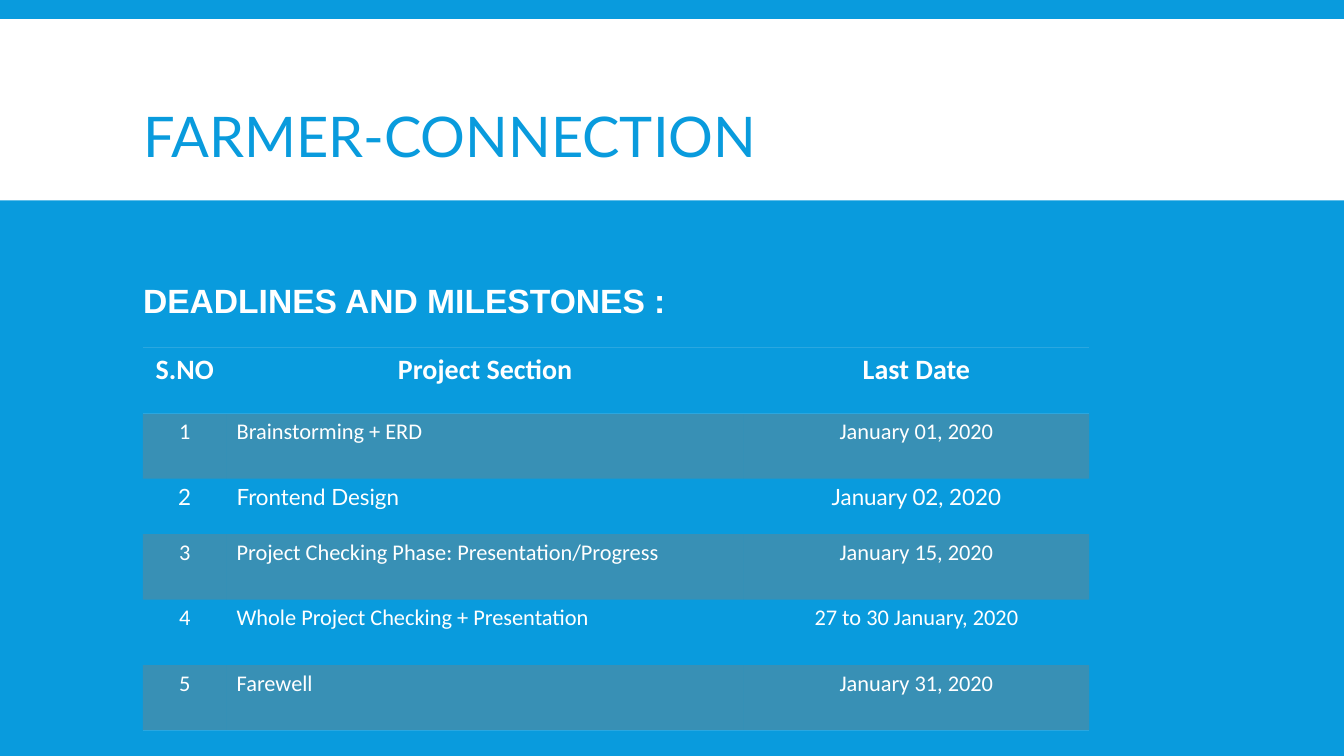
from lxml import etree
from pptx import Presentation
from pptx.dml.color import RGBColor
from pptx.enum.shapes import MSO_SHAPE
from pptx.enum.text import MSO_ANCHOR, PP_ALIGN
from pptx.oxml import parse_xml
from pptx.oxml.ns import qn
from pptx.util import Cm, Pt

COLORS = {"blue": "099BDD", "white": "FFFFFF", "band": "F56617", "rule": "2AA7E0"}
NO_STYLE = "{2D5ABB26-0587-4C30-8999-92F81FD0307C}"
NS = "http://schemas.openxmlformats.org/drawingml/2006/main"


def style(p, font, size, color, bold=False):
    for r in p.runs:
        r.font.name = font
        r.font.size = Pt(size)
        r.font.bold = bold
        r.font.color.rgb = RGBColor.from_string(COLORS[color])


def add_border(cell, side):
    tcPr = cell._tc.get_or_add_tcPr()
    ln = parse_xml(
        f'<a:{side} xmlns:a="{NS}" w="6350"><a:solidFill>'
        f'<a:srgbClr val="{COLORS["rule"]}"/></a:solidFill></a:{side}>')
    tcPr.insert(len(tcPr.findall(qn("a:lnT"))), ln)


prs = Presentation()
prs.slide_width, prs.slide_height = Cm(33.87), Cm(19.05)
s = prs.slides.add_slide(prs.slide_layouts[1])
s.background.fill.solid()
s.background.fill.fore_color.rgb = RGBColor.from_string(COLORS["blue"])

# White title band, behind the text
band = s.shapes.add_shape(MSO_SHAPE.RECTANGLE, 0, Cm(0.48), prs.slide_width, Cm(4.57))
band.shadow.inherit = False
band.fill.solid()
band.fill.fore_color.rgb = RGBColor.from_string(COLORS["white"])
band.line.fill.background()
s.shapes._spTree.insert(2, band._element)

# Title and subheading
headings = [
    (s.shapes.title, "FARMER\u2010CONNECTION", 2.21, 2.4, "Lato", 40, "blue", False),
    (s.placeholders[1], "DEADLINES AND MILESTONES :", 6.85, 1.4, "Arial", 24, "white", True),
]
for sp, text, top, height, font, size, color, bold in headings:
    sp.left, sp.top, sp.width, sp.height = Cm(3.35), Cm(top), Cm(27.2), Cm(height)
    tf = sp.text_frame
    tf.text = text
    tf.vertical_anchor = MSO_ANCHOR.MIDDLE
    p = tf.paragraphs[0]
    p.alignment = PP_ALIGN.LEFT
    p.space_before = Pt(0)
    pPr = p._p.get_or_add_pPr()
    pPr.set("marL", "0")
    pPr.set("indent", "0")
    etree.SubElement(pPr, qn("a:buNone"))
    style(p, font, size, color, bold)

# Milestone table
rows = [
    ("S.NO", "Project Section", "Last Date"),
    ("1", "Brainstorming + ERD", "January 01, 2020"),
    ("2", "Frontend Design", "January 02, 2020"),
    ("3", "Project Checking Phase: Presentation/Progress", "January 15, 2020"),
    ("4", "Whole Project Checking + Presentation", "27 to 30 January, 2020"),
    ("5", "Farewell", "January 31, 2020"),
]
col_widths = [2.11, 13.03, 8.71]
row_heights = [1.65, 1.65, 1.4, 1.65, 1.65, 1.65]
frame = s.shapes.add_table(len(rows), len(col_widths), Cm(3.6), Cm(8.76),
                           Cm(sum(col_widths)), Cm(sum(row_heights)))
table = frame.table
table._tbl.tblPr.find(qn("a:tableStyleId")).text = NO_STYLE
for col, width in zip(table.columns, col_widths):
    col.width = Cm(width)

for i, (row, height) in enumerate(zip(rows, row_heights)):
    table.rows[i].height = Cm(height)
    for j, text in enumerate(row):
        cell = table.cell(i, j)
        cell.text = text
        p = cell.text_frame.paragraphs[0]
        header = i == 0
        p.alignment = PP_ALIGN.LEFT if j == 1 and not header else PP_ALIGN.CENTER
        style(p, "Lato" if i == 2 else "Calibri", 20 if header else 16, "white", header)

        # Odd rows carry a translucent band
        if i % 2:
            cell.fill.solid()
            cell.fill.fore_color.rgb = RGBColor.from_string(COLORS["band"])
            clr = cell._tc.tcPr.find(".//" + qn("a:srgbClr"))
            etree.SubElement(clr, qn("a:alpha")).set("val", "20000")
        else:
            cell.fill.background()

        # Rules around the header and below the last row
        if header:
            add_border(cell, "lnT")
        if header or i == len(rows) - 1:
            add_border(cell, "lnB")

prs.save("out.pptx")
